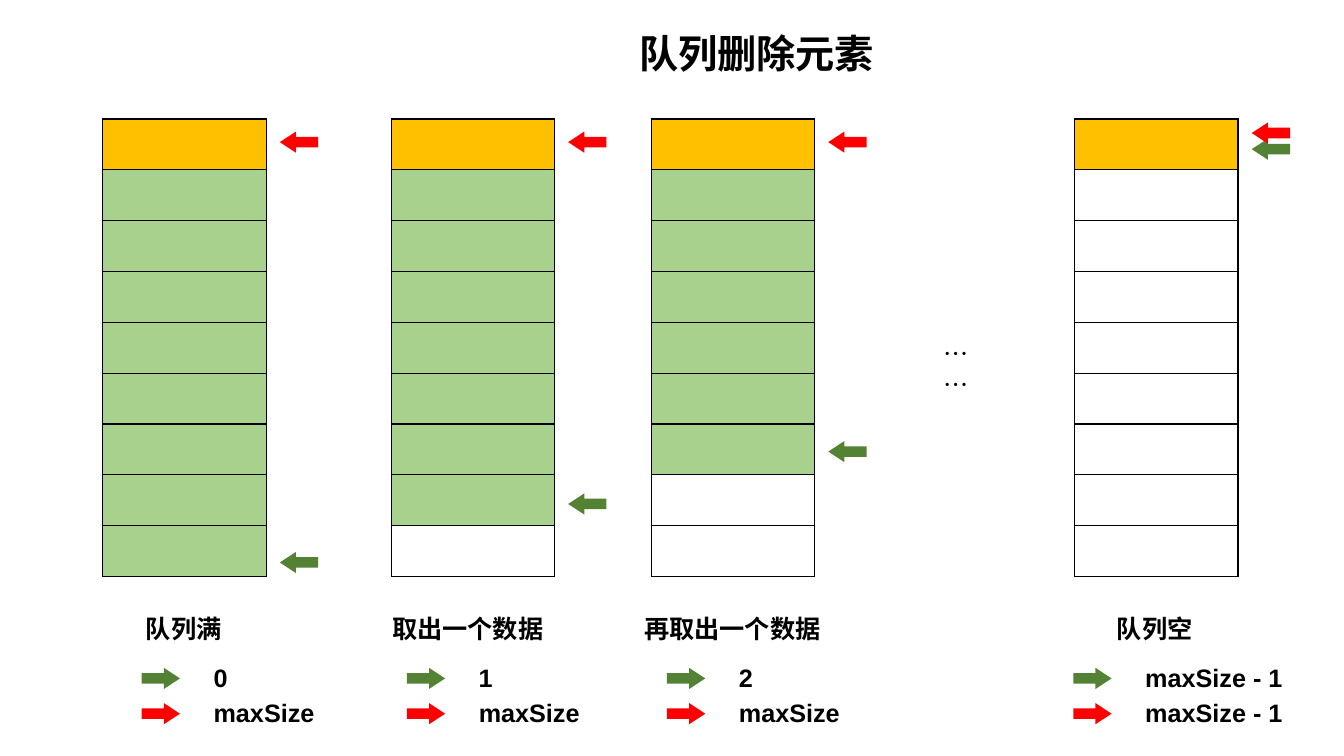
"""Build a slide showing how elements are removed from a queue."""
import pptx
import pptx.dml.color
import pptx.enum.shapes
import pptx.enum.text
import pptx.oxml
import pptx.oxml.ns
import pptx.util

Inches = pptx.util.Inches
RGB = pptx.dml.color.RGBColor.from_string

THEME = {
    "reserved": "FFC000", "filled": "A9D18E", "front": "548235", "rear": "FF0000",
    "ink": "000000", "latin": "Arial", "cjk": "Noto Sans CJK SC",
    "title": 28, "body": 18, "ellipsis_pitch": 22, "border": 1,
}
SLOTS = 9
QUEUE_TOP, QUEUE_WIDTH, QUEUE_HEIGHT = 1.18, 1.62, 4.54
POINTER_WIDTH, POINTER_LENGTH, POINTER_OFFSET = 0.21, 0.38, 1.84
CAPTION_TOP, VALUE_OFFSET, TEXT_HEIGHT = 6.04, 0.53, 0.4

QUEUES = [
    {"left": 1.02, "filled": 8, "front_top": 5.39, "rear_top": 1.22,
     "caption": ("队列满", 1.35, 0.96), "legend_left": 1.49,
     "front": "0", "rear": "maxSize"},
    {"left": 3.88, "filled": 7, "front_top": 4.81, "rear_top": 1.22,
     "caption": ("取出一个数据", 3.79, 1.72), "legend_left": 4.12,
     "front": "1", "rear": "maxSize"},
    {"left": 6.46, "filled": 6, "front_top": 4.29, "rear_top": 1.22,
     "caption": ("再取出一个数据", 6.29, 1.97), "legend_left": 6.7,
     "front": "2", "rear": "maxSize"},
    {"left": 10.66, "filled": 0, "front_top": 1.29, "rear_top": 1.13,
     "caption": ("队列空", 10.98, 0.96), "legend_left": 10.73,
     "front": "maxSize - 1", "rear": "maxSize - 1"},
]
LEGEND_TOPS = {"front": 6.54, "rear": 6.89}
VALUE_WIDTHS = {"maxSize": 1.21, "maxSize - 1": 1.58}

deck = pptx.Presentation()
deck.slide_width, deck.slide_height = Inches(13.33), Inches(7.5)
slide = deck.slides.add_slide(deck.slide_layouts[6])


def write_text(text, left, top, width, height=TEXT_HEIGHT, size=THEME["body"],
               font=THEME["latin"], bold=True, wrap=False, pitch=None):
    box = slide.shapes.add_textbox(Inches(left), Inches(top), Inches(width), Inches(height))
    frame = box.text_frame
    frame.word_wrap = wrap
    frame.auto_size = pptx.enum.text.MSO_AUTO_SIZE.SHAPE_TO_FIT_TEXT
    paragraph = frame.paragraphs[0]
    if pitch:
        paragraph.line_spacing = pptx.util.Pt(pitch)
    run = paragraph.add_run()
    run.text = text
    run.font.size = pptx.util.Pt(size)
    run.font.bold = bold
    run.font.color.rgb = RGB(THEME["ink"])
    run.font.name = font
    east_asian = pptx.oxml.parse_xml(
        f'<a:ea {pptx.oxml.ns.nsdecls("a")} typeface="{THEME["cjk"]}"/>')
    run.font._element.append(east_asian)


def draw_pointer(left, top, rotation, color):
    pointer = slide.shapes.add_shape(
        pptx.enum.shapes.MSO_SHAPE.DOWN_ARROW,
        Inches(left), Inches(top), Inches(POINTER_WIDTH), Inches(POINTER_LENGTH))
    pointer.adjustments[0], pointer.adjustments[1] = 0.5, 0.76
    pointer.rotation = rotation
    pointer.shadow.inherit = False
    pointer.fill.solid()
    pointer.fill.fore_color.rgb = RGB(color)
    pointer.line.fill.background()


for queue in QUEUES:
    slots = slide.shapes.add_table(
        SLOTS, 1, Inches(queue["left"]), Inches(QUEUE_TOP),
        Inches(QUEUE_WIDTH), Inches(QUEUE_HEIGHT)).table
    slots.first_row = slots.horz_banding = False
    for index in range(SLOTS):
        slots.rows[index].height = Inches(QUEUE_HEIGHT / SLOTS)
        slot = slots.cell(index, 0)
        if index <= queue["filled"]:
            slot.fill.solid()
            slot.fill.fore_color.rgb = RGB(THEME["filled" if index else "reserved"])
        else:
            slot.fill.background()
        slot_format = slot._tc.get_or_add_tcPr()
        for position, side in enumerate(("lnL", "lnR", "lnT", "lnB")):
            slot_format.insert(position, pptx.oxml.parse_xml(
                f'<a:{side} {pptx.oxml.ns.nsdecls("a")} w="{pptx.util.Pt(THEME["border"])}">'
                f'<a:solidFill><a:srgbClr val="{THEME["ink"]}"/></a:solidFill></a:{side}>'))

    caption, caption_left, caption_width = queue["caption"]
    write_text(caption, caption_left, CAPTION_TOP, caption_width)
    for role, legend_top in LEGEND_TOPS.items():
        draw_pointer(queue["left"] + POINTER_OFFSET, queue[f"{role}_top"], 90, THEME[role])
        draw_pointer(queue["legend_left"], legend_top, 270, THEME[role])
        write_text(queue[role], queue["legend_left"] + VALUE_OFFSET, legend_top - 0.02,
                   VALUE_WIDTHS.get(queue[role], 0.34))

write_text("……", 9.26, 3.3, 0.56, font=THEME["cjk"], bold=False, wrap=True,
           pitch=THEME["ellipsis_pitch"])
write_text("队列删除元素", 6.24, 0.24, 2.56, height=0.57, size=THEME["title"],
           font=THEME["cjk"])

deck.save("out.pptx")
